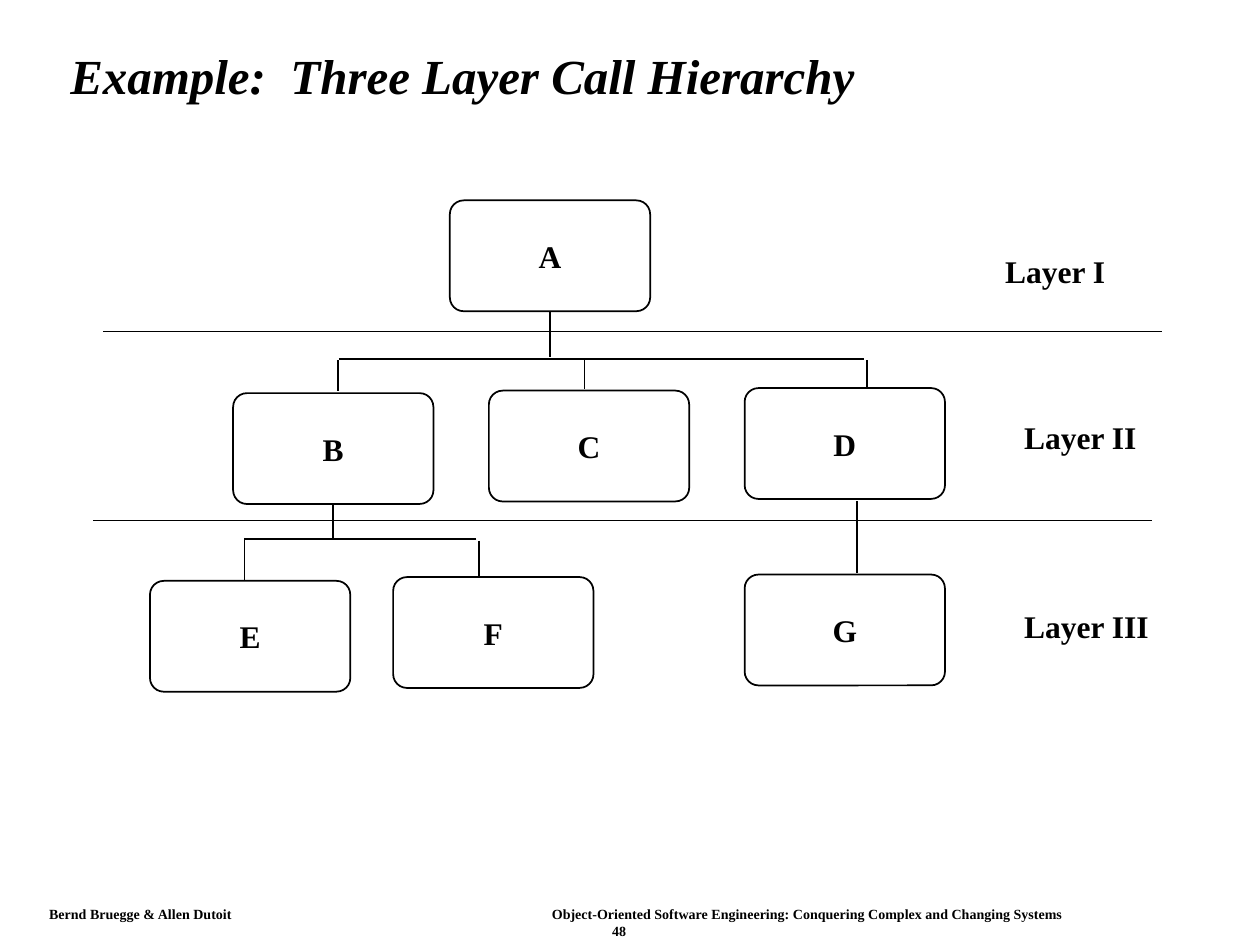
"""Build a slide showing a three layer call hierarchy."""
from dataclasses import dataclass

from lxml import etree
from pptx import Presentation
from pptx import util as u
from pptx.dml.color import RGBColor
from pptx.enum import shapes, text
from pptx.oxml.ns import qn


@dataclass(frozen=True)
class Theme:
    ink: RGBColor = RGBColor(0, 0, 0)
    font: str = "Times New Roman"
    title: u.Pt = u.Pt(28)
    body: u.Pt = u.Pt(18)
    footer: u.Pt = u.Pt(8)
    line: u.Pt = u.Pt(1)


theme = Theme()


def write(shape, lines, size, frame_format, aligns, italic=False):
    frame = shape.text_frame
    for name, value in frame_format.items():
        setattr(frame, name, value)
    frame.text = "\n".join(lines)
    font_format = {"name": theme.font, "size": size, "bold": True, "italic": italic}
    for paragraph, align in zip(frame.paragraphs, aligns):
        paragraph.alignment = align
        for name, value in font_format.items():
            setattr(paragraph.font, name, value)
        paragraph.font.color.rgb = theme.ink
    return frame.paragraphs


def draw_line(x1, y1, x2, y2):
    line = slide.shapes.add_connector(
        shapes.MSO_CONNECTOR.STRAIGHT, *map(u.Inches, (x1, y1, x2, y2)))
    line.line.color.rgb = theme.ink
    line.line.width = theme.line
    etree.SubElement(line._element.spPr, qn("a:effectLst"))
    return line


prs = Presentation()
prs.slide_width, prs.slide_height = u.Inches(10), u.Inches(7.5)
slide = prs.slides.add_slide(prs.slide_layouts[6])

left, center = text.PP_ALIGN.LEFT, text.PP_ALIGN.CENTER
middle = {"vertical_anchor": text.MSO_ANCHOR.MIDDLE}
unwrapped = {"word_wrap": False}

footer = slide.shapes.add_textbox(*map(u.Inches, (0.31, 7.15, 9.21, 0.34)))
footer_format = {
    "word_wrap": True,
    "margin_left": u.Inches(0.08), "margin_right": u.Inches(0.08),
    "margin_top": u.Inches(0.04), "margin_bottom": u.Inches(0.04),
}
credit, page = write(
    footer,
    ["Bernd Bruegge & Allen Dutoit\t"
     "Object-Oriented Software Engineering: Conquering Complex and Changing Systems",
     "48"],
    theme.footer, footer_format, [left, center])
tabs = etree.Element(qn("a:tabLst"))
etree.SubElement(tabs, qn("a:tab"), pos=str(u.Inches(3.99)), algn="l")
credit._p.get_or_add_pPr().insert_element_before(tabs, "a:defRPr", "a:extLst")

title = slide.shapes.add_textbox(*map(u.Inches, (0.46, 0.24, 8.92, 0.77)))
heading, = write(title, ["Example:  Three Layer Call Hierarchy"], theme.title,
                 {**middle, "word_wrap": True}, [left], italic=True)
heading.line_spacing = 0.9

module_width, module_height = 1.59, 0.88
module_places = {
    "A": (3.57, 1.59),
    "B": (1.85, 3.12), "C": (3.88, 3.1), "D": (5.91, 3.08),
    "G": (5.91, 4.56), "F": (3.12, 4.58), "E": (1.19, 4.61),
}
modules = {}
for name, (x, y) in module_places.items():
    module = slide.shapes.add_shape(
        shapes.MSO_SHAPE.ROUNDED_RECTANGLE,
        *map(u.Inches, (x, y, module_width, module_height)))
    module.adjustments[0] = 0.125
    module.shadow.inherit = False
    module.fill.background()
    module.line.color.rgb = theme.ink
    module.line.width = theme.line
    write(module, [name], theme.body, {**middle, **unwrapped}, [center])
    modules[name] = module

for caller, stem_end in (("A", 2.83), ("B", 4.27)):
    x, y = module_places[caller]
    stem_x = x + module_width / 2
    stem = draw_line(stem_x, y + module_height, stem_x, stem_end)
    stem.begin_connect(modules[caller], 2)

for x, top, bottom in (
    (2.68, 2.86, 3.1), (4.64, 2.86, 3.09), (6.88, 2.86, 3.07),
    (1.94, 4.27, 4.6), (3.8, 4.29, 4.58), (6.8, 3.98, 4.55),
):
    draw_line(x, top, x, bottom)

for start, end, y in (
    (2.69, 6.86, 2.85), (3.78, 1.94, 4.28),
    (0.82, 9.22, 2.63), (0.74, 9.14, 4.13),
):
    draw_line(start, y, end, y)

for layer, x, y, width in (
    ("Layer I", 7.88, 1.95, 1), ("Layer II", 8.03, 3.27, 1.09),
    ("Layer III", 8.03, 4.77, 1.19),
):
    label = slide.shapes.add_textbox(*map(u.Inches, (x, y, width, 0.4)))
    write(label, [layer], theme.body, unwrapped, [left])

prs.save("out.pptx")
